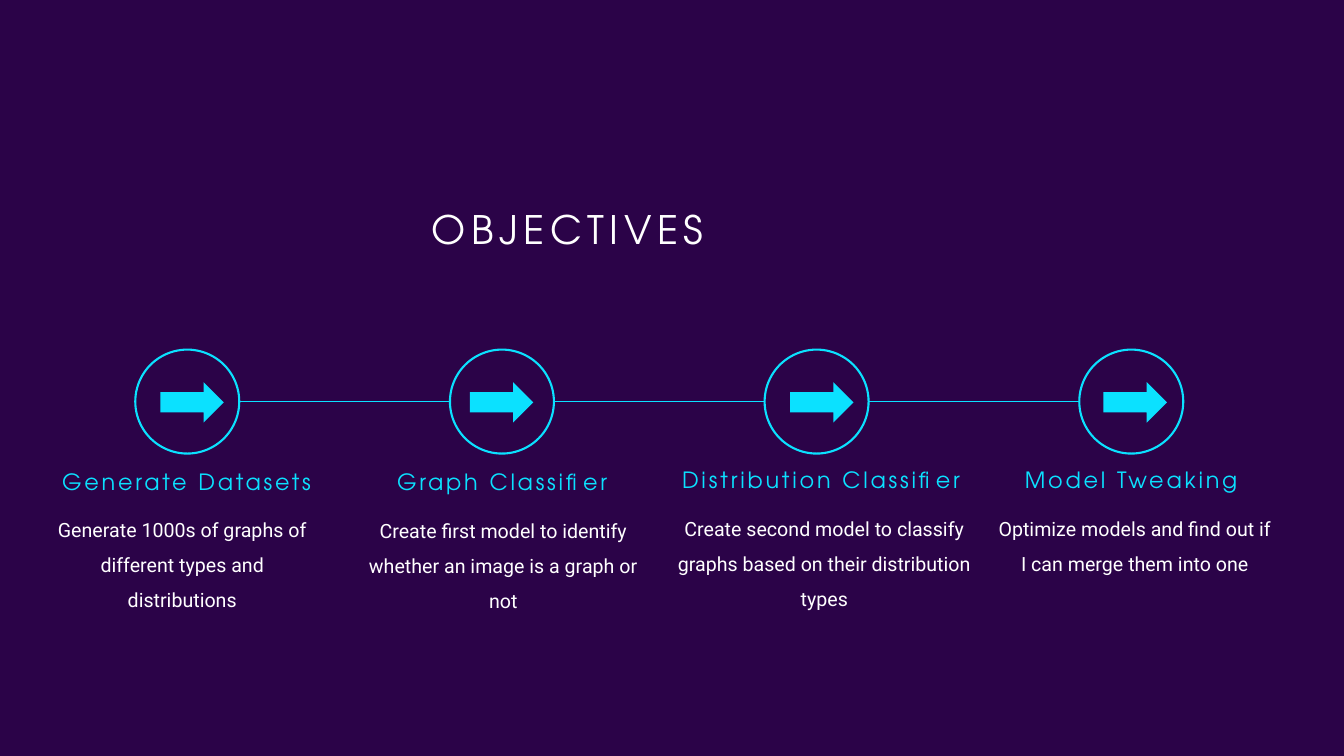
from pptx import Presentation
from pptx.dml.color import RGBColor
from pptx.enum.shapes import MSO_CONNECTOR as CONN, MSO_SHAPE as SHAPE
from pptx.enum.text import MSO_ANCHOR as ANCHOR, MSO_AUTO_SIZE as AUTO, PP_ALIGN as ALIGN
from pptx.oxml import parse_xml
from pptx.oxml.ns import nsdecls
from pptx.util import Cm, Pt

PURPLE = RGBColor(0x2B, 0x03, 0x48)
CYAN = RGBColor(0x0B, 0xE1, 0xFF)
WHITE = RGBColor(0xFF, 0xFF, 0xFF)
HEAD_FONT = "TeX Gyre Adventor"
BODY_FONT = "Roboto"

# Circles stand at equal steps (cm)
CIRCLE_LEFT, CIRCLE_TOP, CIRCLE_SIZE, STEP = 3.41, 8.81, 2.62, 7.93
ARROW_TOP, ARROW_W, ARROW_H = 9.63, 1.6, 1.02

# Arrow left, heading and its box, description and its box (cm)
OBJECTIVES = [
    (4.04, "Generate Datasets", (1.04, 11.76, 7.34, 1.02),
     "Generate 1000s of graphs of different types and distributions",
     (1.04, 12.62, 7.11, 2.13)),
    (11.84, "Graph Classifier", (8.99, 11.76, 7.34, 1.02),
     "Create first model to identify whether an image is a graph or not",
     (8.81, 12.65, 7.75, 1.93)),
    (19.91, "Distribution Classifier", (16.74, 11.71, 7.92, 1.02),
     "Create second model to classify graphs based on their distribution types",
     (16.61, 12.6, 8.33, 1.96)),
    (27.81, "Model Tweaking", (24.84, 11.71, 7.34, 1.02),
     "Optimize models and find out if I can merge them into one",
     (24.84, 12.6, 7.52, 4.5)),
]


def write_text(sp, text, *, size, font, color, line_spacing, tracking=0):
    tf = sp.text_frame
    tf.word_wrap = True
    tf.auto_size = AUTO.NONE
    tf.vertical_anchor = ANCHOR.TOP
    p = tf.paragraphs[0]
    p.alignment = ALIGN.CENTER
    p.line_spacing = line_spacing
    p.space_before = Pt(0)
    r = p.add_run()
    r.text = text
    r.font.size = Pt(size)
    r.font.name = font
    r.font.color.rgb = color
    if tracking:
        r.font._element.set("spc", str(tracking * 100))


def add_title(s, text, box):
    sp = s.shapes.title
    sp.left, sp.top, sp.width, sp.height = map(Cm, box)
    write_text(sp, text, size=28, font=HEAD_FONT, color=WHITE,
               line_spacing=0.9, tracking=4)


def add_text(s, text, box, **style):
    write_text(s.shapes.add_textbox(*map(Cm, box)), text, **style)


def add_figure(s, kind, box, fill, outline=None):
    sp = s.shapes.add_shape(kind, *map(Cm, box))
    sp.shadow.inherit = False
    sp.fill.solid()
    sp.fill.fore_color.rgb = fill
    if outline is None:
        sp.line.fill.background()
    else:
        sp.line.color.rgb = outline
        sp.line.width = Pt(1.5)


def add_line(s, x1, x2, y):
    line = s.shapes.add_connector(CONN.STRAIGHT, Cm(x1), Cm(y), Cm(x2), Cm(y))
    line.line.color.rgb = CYAN
    line.line.width = Pt(0.5)
    line._element.spPr.append(parse_xml(f"<a:effectLst {nsdecls('a')}/>"))


def main():
    prs = Presentation()
    prs.slide_width, prs.slide_height = Cm(33.87), Cm(19.05)
    s = prs.slides.add_slide(prs.slide_layouts[5])
    s.background.fill.solid()
    s.background.fill.fore_color.rgb = PURPLE

    add_title(s, "OBJECTIVES", (6.68, 5.18, 15.24, 1.6))

    # Line from the first circle to the last, behind them all
    add_line(s, CIRCLE_LEFT + CIRCLE_SIZE, CIRCLE_LEFT + 3 * STEP,
             CIRCLE_TOP + CIRCLE_SIZE / 2)

    # One column per objective
    for i, (arrow_left, heading, head_box, text, text_box) in enumerate(OBJECTIVES):
        add_figure(s, SHAPE.OVAL,
                   (CIRCLE_LEFT + i * STEP, CIRCLE_TOP, CIRCLE_SIZE, CIRCLE_SIZE),
                   PURPLE, CYAN)
        add_figure(s, SHAPE.RIGHT_ARROW,
                   (arrow_left, ARROW_TOP, ARROW_W, ARROW_H), CYAN)
        add_text(s, heading, head_box, size=16, font=HEAD_FONT, color=CYAN,
                 line_spacing=0.9, tracking=2)
        add_text(s, text, text_box, size=14, font=BODY_FONT, color=WHITE,
                 line_spacing=1.5)

    prs.save("out.pptx")


if __name__ == "__main__":
    main()
